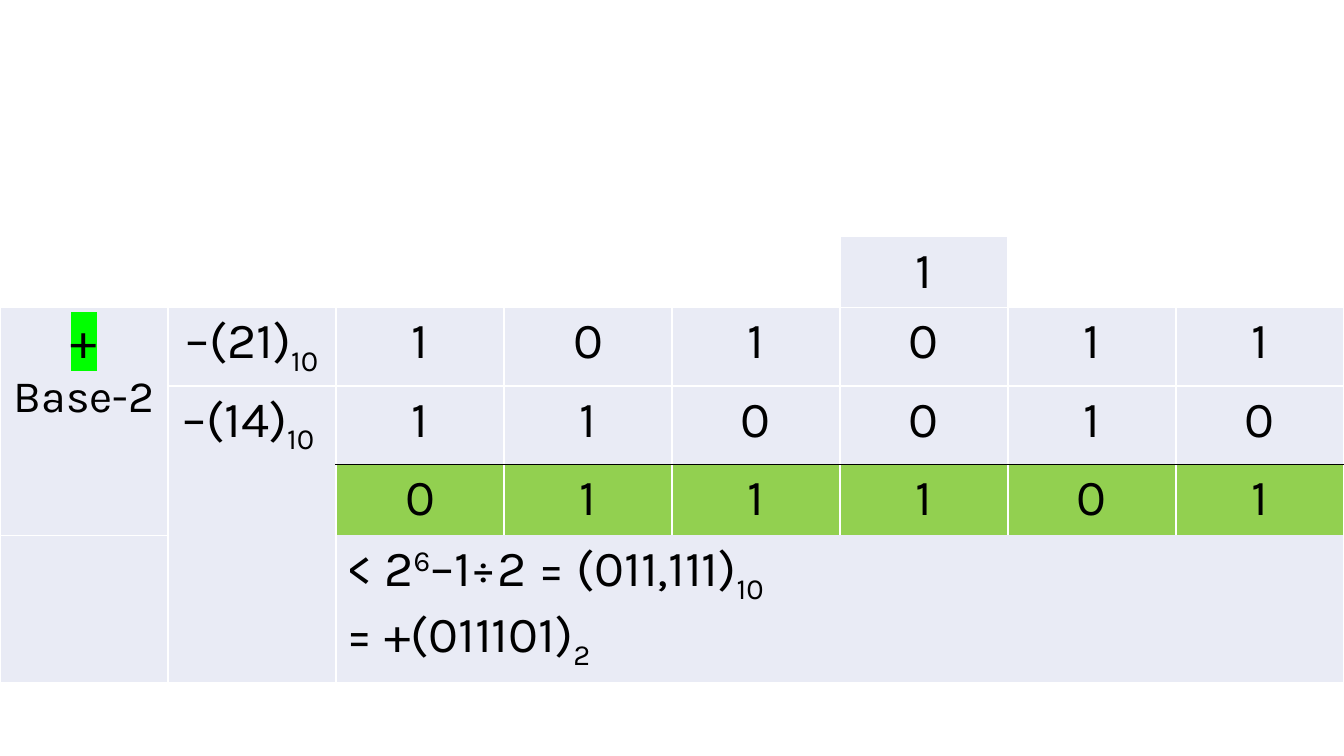
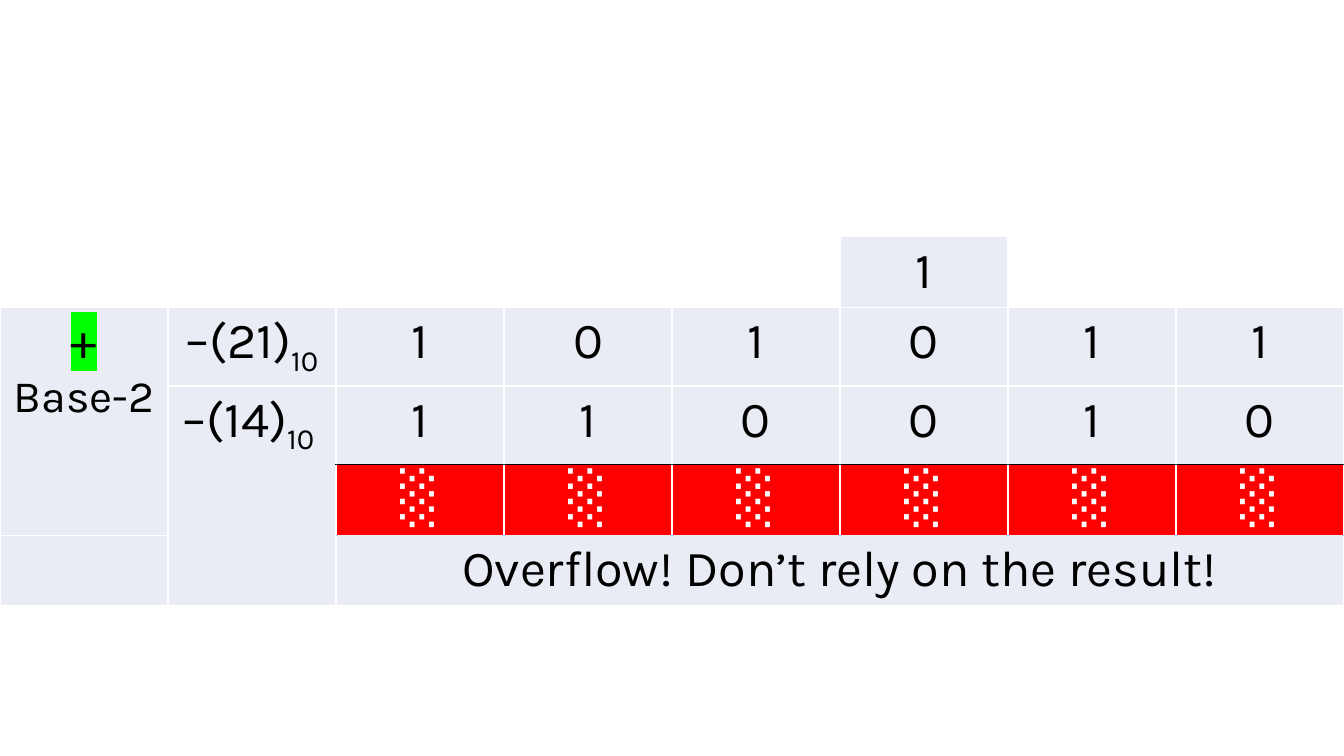
from lxml.etree import SubElement
from pptx import Presentation
from pptx.dml.color import RGBColor
from pptx.enum.text import PP_ALIGN
from pptx.oxml import parse_xml
from pptx.oxml.ns import nsdecls, qn
from pptx.util import Inches, Pt

COLORS = {"cell": "E9EBF5", "sum": "92D050", "overflow": "FF0000",
          "highlight": "00FF00", "text": "000000", "white": "FFFFFF"}
FONT = "Karla"
NO_STYLE = "{2D5ABB26-0587-4C30-8999-92F81FD0307C}"
COLS = 8
FIRST_BIT = 2
CARRY_COL = 5
CARRY, FIRST, SECOND, RESULT, NOTE = range(5)
SLIDE_WIDTH = 13.33
TABLE_TOP = 2.35
SUB, SUP = -25000, 30000


def add_run(p, text, baseline=0, size=36, color="text", highlight=None):
    r = p.add_run()
    r.text = text
    r.font.size = Pt(size)
    r.font.color.rgb = RGBColor.from_string(COLORS[color])
    rPr = r.font._element
    if highlight:
        mark = SubElement(rPr, qn("a:highlight"))
        SubElement(mark, qn("a:srgbClr")).set("val", COLORS[highlight])
    r.font.name = FONT
    if baseline:
        rPr.set("baseline", str(baseline))


def write(cell, *paragraphs, align=PP_ALIGN.CENTER, **style):
    """Fill a cell with paragraphs, each a list of (text, baseline) runs."""
    tf = cell.text_frame
    for i, runs in enumerate(paragraphs):
        p = tf.paragraphs[0] if i == 0 else tf.add_paragraph()
        p.alignment = align
        for run in runs:
            add_run(p, *run, **style)


def fill(cell, color):
    cell.fill.solid()
    cell.fill.fore_color.rgb = RGBColor.from_string(COLORS[color])


def border_colors(row, col):
    """Map each side of a grid cell to its line colour, or None for no line."""
    sides = dict.fromkeys("LRTB", "white")
    if col >= FIRST_BIT:
        if row == SECOND:
            sides["B"] = "text"
        elif row == RESULT:
            sides.update(T="text", B=None)
        elif row == NOTE:
            sides["T"] = None
    elif col == 1 and row >= SECOND:
        if row > SECOND:
            sides["T"] = None
        if row < NOTE:
            sides["B"] = None
    return sides


def set_borders(cell, sides):
    tcPr = cell._tc.get_or_add_tcPr()
    for i, (side, color) in enumerate(sides.items()):
        paint = (f'<a:solidFill><a:srgbClr val="{COLORS[color]}"/></a:solidFill>'
                 if color else "<a:noFill/>")
        tcPr.insert(i, parse_xml(
            f'<a:ln{side} {nsdecls("a")} w="12700">{paint}</a:ln{side}>'))


def add_sum_table(s, note_height, result_color):
    """Add the addition grid with its operands; result and note stay empty."""
    heights = [0.7, 0.78, 0.78, 0.7, note_height]
    frame = s.shapes.add_table(len(heights), COLS, 0, Inches(TABLE_TOP),
                               Inches(SLIDE_WIDTH), Inches(sum(heights)))
    tbl = frame.table
    tbl.first_row = tbl.horz_banding = False
    tbl._tbl.tblPr.find(qn("a:tableStyleId")).text = NO_STYLE
    for row, height in zip(tbl.rows, heights):
        row.height = Inches(height)
    for column in tbl.columns:
        column.width = Inches(SLIDE_WIDTH / COLS)

    tbl.cell(FIRST, 0).merge(tbl.cell(RESULT, 0))
    tbl.cell(NOTE, FIRST_BIT).merge(tbl.cell(NOTE, COLS - 1))
    for row in range(len(heights)):
        for col in range(COLS):
            cell = tbl.cell(row, col)
            if row == CARRY and col != CARRY_COL:
                cell.fill.background()
            elif row == RESULT and col >= FIRST_BIT:
                fill(cell, result_color)
            else:
                fill(cell, "cell")
            if not cell.is_spanned:
                set_borders(cell, border_colors(row, col))

    write(tbl.cell(CARRY, CARRY_COL), [("1",)])
    operation = tbl.cell(FIRST, 0)
    write(operation, [("+",)], highlight="highlight")
    p = operation.text_frame.add_paragraph()
    p.alignment = PP_ALIGN.CENTER
    add_run(p, "Base-2", size=32)
    write(tbl.cell(FIRST, 1), [("–(21)",), ("10", SUB)])
    write(tbl.cell(SECOND, 1), [("–(14)",), ("10 ", SUB)])
    write_bits(tbl, FIRST, "101011")
    write_bits(tbl, SECOND, "110010")
    return tbl


def write_bits(tbl, row, bits, color="text"):
    for col, bit in enumerate(bits, FIRST_BIT):
        write(tbl.cell(row, col), [(bit,)], color=color)


def add_result_slide(s):
    tbl = add_sum_table(s, 1.46, "sum")
    write_bits(tbl, RESULT, "011101")
    write(tbl.cell(NOTE, FIRST_BIT),
          [("< 2",), ("6", SUP), ("–1÷2 = (011,111)",), ("10", SUB)],
          [("= +(011101)",), ("2", SUB)],
          align=PP_ALIGN.LEFT)


def add_overflow_slide(s):
    tbl = add_sum_table(s, 0.7, "overflow")
    write_bits(tbl, RESULT, "░" * 6, color="white")
    write(tbl.cell(NOTE, FIRST_BIT), [("Overflow! Don’t rely on the result!",)])


def main():
    prs = Presentation()
    prs.slide_width, prs.slide_height = Inches(SLIDE_WIDTH), Inches(7.5)
    for build in (add_result_slide, add_overflow_slide):
        build(prs.slides.add_slide(prs.slide_layouts[6]))
    prs.save("out.pptx")


if __name__ == "__main__":
    main()
